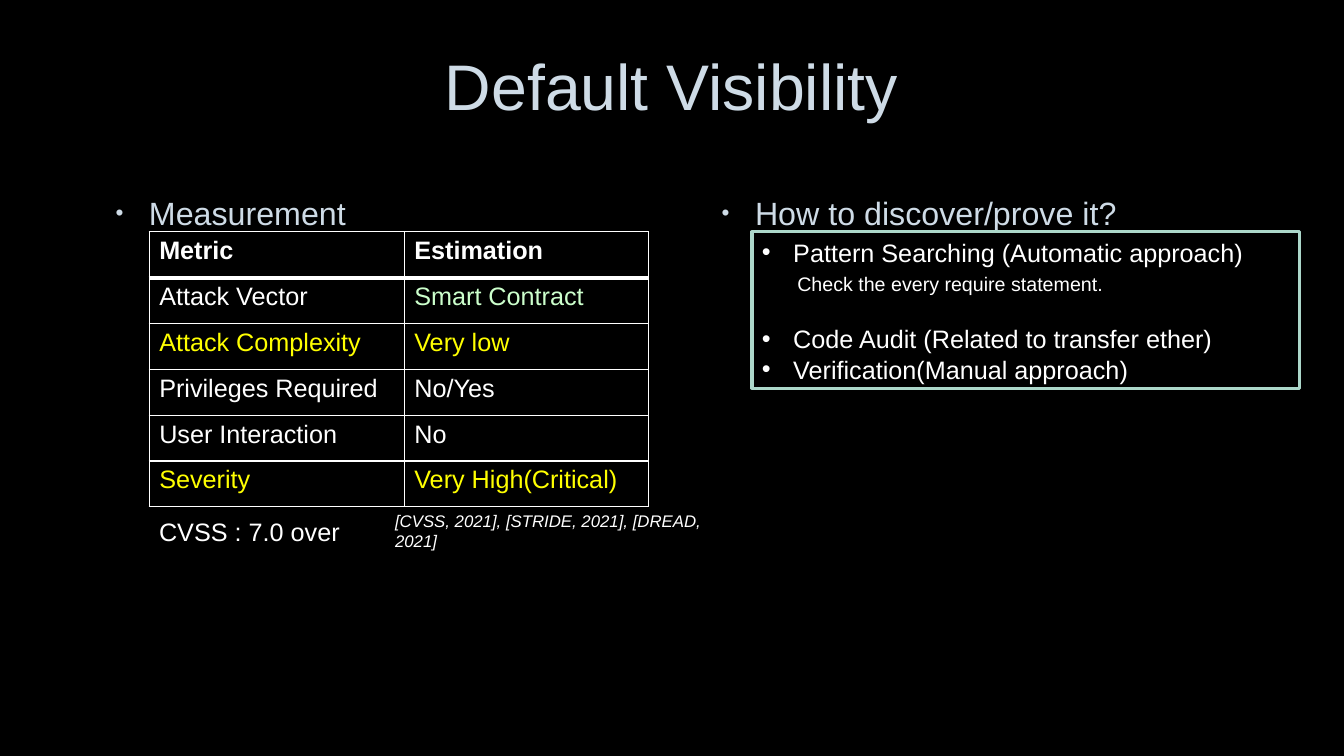
"""Build the Default Visibility slide: a measurement table beside ways to discover the flaw."""
from dataclasses import dataclass

import pptx
import pptx.dml.color
import pptx.enum.shapes
import pptx.enum.text
import pptx.oxml
import pptx.oxml.ns
import pptx.util

TITLE = "Default Visibility"
METRICS = [
    ("Metric", "Estimation"),
    ("Attack Vector", "Smart Contract"),
    ("Attack Complexity", "Very low"),
    ("Privileges Required", "No/Yes"),
    ("User Interaction", "No"),
    ("Severity", "Very High(Critical)"),
]
WARNING_ROWS = ("Attack Complexity", "Severity")
SAFE_CELLS = ("Smart Contract",)
SCORE = "CVSS : 7.0 over"
CITATION = "[CVSS, 2021], [STRIDE, 2021], [DREAD, 2021]"
METHODS = [
    ("Pattern Searching (Automatic approach)", "Check the every require statement."),
    ("Code Audit (Related to transfer ether)", None),
    ("Verification(Manual approach)", None),
]


@dataclass(frozen=True)
class Theme:
    """Colours, font and type sizes."""
    font: str = "Arial"
    back: str = "000000"
    heading: str = "CEDBE6"
    text: str = "FFFFFF"
    warning: str = "FFFF00"
    safe: str = "CCFFCC"
    frame: str = "ACD7CA"
    title_pt: int = 46
    heading_pt: int = 23
    body_pt: int = 18
    detail_pt: int = 14
    cite_pt: int = 12


T = Theme()
SLIDE_W, SLIDE_H = pptx.util.Inches(13.33), pptx.util.Inches(7.5)

# Boxes are left, top, width, height in percent of the slide.
TITLE_BOX = (7.5, 2.67, 84.92, 18.4)
HEADINGS = [
    ("Measurement", (7.5, 24.4, 39.83, 9.33)),
    ("How to discover/prove it?", (52.59, 24.4, 39.83, 9.33)),
]
COLUMNS = (18.98, 18.2)
TABLE_BOX = (11.1, 30.67, sum(COLUMNS), 36.4)
SCORE_BOX = (11.1, 67.6, 27.68, 5.33)
CITE_BOX = (28.66, 66.93, 27.23, 4)
METHODS_BOX = (55.96, 30.67, 40.74, 20.67)


def rgb(color):
    return pptx.dml.color.RGBColor.from_string(color)


def place(box):
    return [int(share * side / 100) for share, side in zip(box, (SLIDE_W, SLIDE_H) * 2)]


def style(p, size, color=T.text, bold=False, italic=False):
    f = p.font
    f.name, f.size, f.bold, f.italic = T.font, pptx.util.Pt(size), bold, italic
    f.color.rgb = rgb(color)


def add_xml(parent, xml):
    ns = pptx.oxml.ns.nsdecls("a")
    parent.append(pptx.oxml.parse_xml(xml.replace(">", f" {ns}>", 1) if "/>" not in xml.split(">")[0] + ">"
                                      else xml.replace("/>", f" {ns}/>", 1)))


def indent(p, left, hanging=0.0):
    pPr = p._p.get_or_add_pPr()
    pPr.set("marL", str(pptx.util.Inches(left)))
    pPr.set("indent", str(-pptx.util.Inches(hanging)))
    return pPr


def bullet(p, left, hanging, color, percent=100):
    pPr = indent(p, left, hanging)
    add_xml(pPr, f'<a:buClr><a:srgbClr val="{color}"/></a:buClr>')
    add_xml(pPr, f'<a:buSzPct val="{percent * 1000}"/>')
    add_xml(pPr, '<a:buFont typeface="Arial"/>')
    add_xml(pPr, '<a:buChar char="•"/>')


def add_text(s, box, text):
    tf = s.shapes.add_textbox(*place(box)).text_frame
    tf.word_wrap = True
    p = tf.paragraphs[0]
    p.text = text
    return p


def add_title(s):
    sp = s.shapes.title
    sp.left, sp.top, sp.width, sp.height = place(TITLE_BOX)
    tf = sp.text_frame
    tf.text = TITLE
    tf.vertical_anchor = pptx.enum.text.MSO_ANCHOR.MIDDLE
    p = tf.paragraphs[0]
    p.alignment = pptx.enum.text.PP_ALIGN.CENTER
    p.line_spacing = 0.9
    style(p, T.title_pt, T.heading)


def add_borders(cell, header_sides):
    tcPr = cell._tc.get_or_add_tcPr()
    for at, side in enumerate(("lnL", "lnR", "lnT", "lnB")):
        width = pptx.util.Pt(3 if side == header_sides else 1)
        add_xml(tcPr, f'<a:{side} w="{width}"><a:solidFill><a:srgbClr val="{T.text}"/>'
                      f'</a:solidFill></a:{side}>')
        tcPr.insert(at, tcPr[-1])


def add_metrics(s):
    table = s.shapes.add_table(len(METRICS), len(COLUMNS), *place(TABLE_BOX)).table
    for column, share in zip(table.columns, COLUMNS):
        column.width = int(SLIDE_W * share / 100)
    for i, row in enumerate(METRICS):
        for j, text in enumerate(row):
            cell = table.cell(i, j)
            cell.text = text
            cell.fill.solid()
            cell.fill.fore_color.rgb = rgb(T.back)
            color = T.warning if row[0] in WARNING_ROWS else T.safe if text in SAFE_CELLS else T.text
            style(cell.text_frame.paragraphs[0], T.body_pt, color, bold=i == 0)
            add_borders(cell, {0: "lnB", 1: "lnT"}.get(i))


def add_methods(s):
    sp = s.shapes.add_shape(pptx.enum.shapes.MSO_SHAPE.RECTANGLE, *place(METHODS_BOX))
    sp.shadow.inherit = False
    sp.fill.background()
    sp.line.color.rgb = rgb(T.frame)
    sp.line.width = pptx.util.Pt(2.25)
    tf = sp.text_frame
    tf.word_wrap = True
    tf.vertical_anchor = pptx.enum.text.MSO_ANCHOR.TOP
    p = tf.paragraphs[0]
    for i, (method, detail) in enumerate(METHODS):
        p = tf.add_paragraph() if i else p
        p.text = method
        p.alignment = pptx.enum.text.PP_ALIGN.LEFT
        bullet(p, 0.31, 0.31, T.text)
        if i and METHODS[i - 1][1]:
            p.space_before = pptx.util.Pt(20)
        style(p, T.body_pt)
        if detail:
            p = tf.add_paragraph()
            p.text = detail
            p.alignment = pptx.enum.text.PP_ALIGN.LEFT
            indent(p, 0.35)
            p.space_before = pptx.util.Pt(3.6)
            style(p, T.detail_pt)


def main():
    prs = pptx.Presentation()
    prs.slide_width, prs.slide_height = SLIDE_W, SLIDE_H
    s = prs.slides.add_slide(prs.slide_layouts.get_by_name("Title Only"))
    s.background.fill.solid()
    s.background.fill.fore_color.rgb = rgb(T.back)
    add_title(s)
    for text, box in HEADINGS:
        p = add_text(s, box, text)
        bullet(p, 0.38, 0.33, T.heading, 70)
        p.line_spacing = 1.1
        p.space_after = pptx.util.Pt(6)
        style(p, T.heading_pt, T.heading)
    add_metrics(s)
    style(add_text(s, SCORE_BOX, SCORE), T.body_pt)
    style(add_text(s, CITE_BOX, CITATION), T.cite_pt, italic=True)
    add_methods(s)
    prs.save("out.pptx")


if __name__ == "__main__":
    main()
